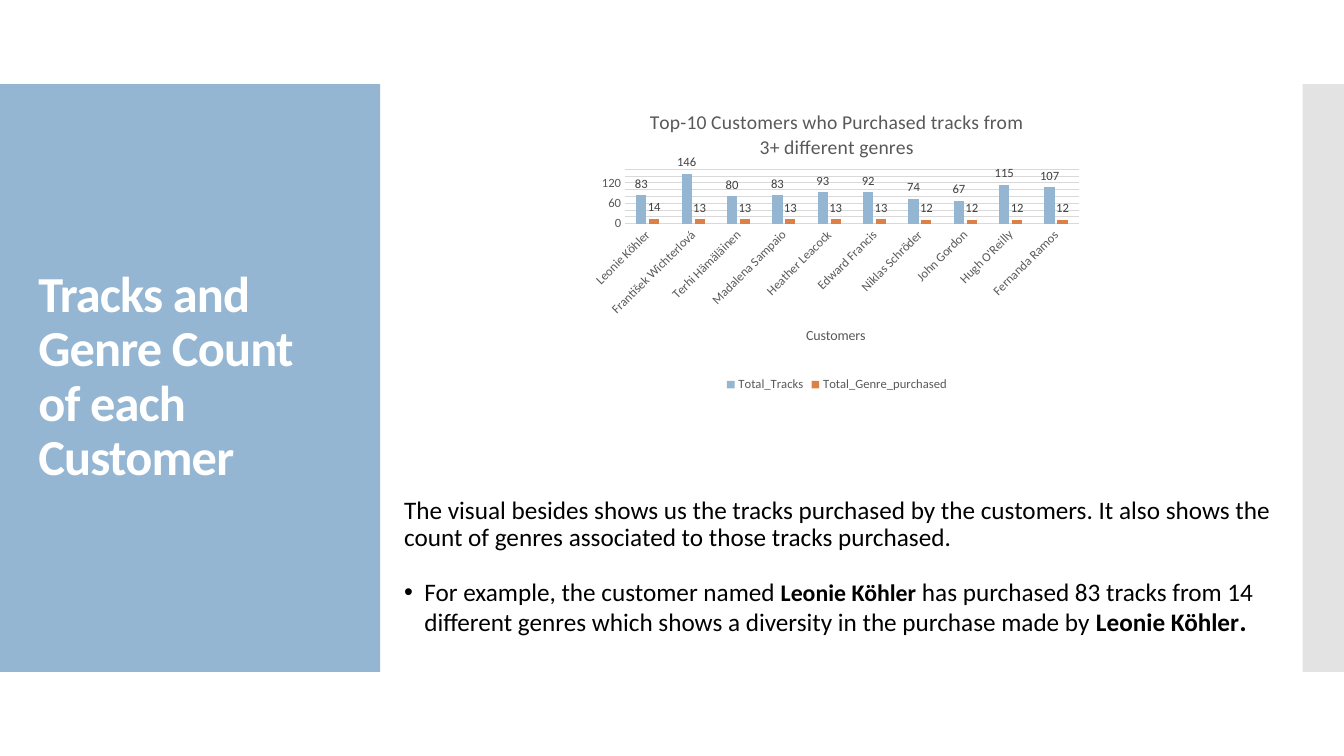
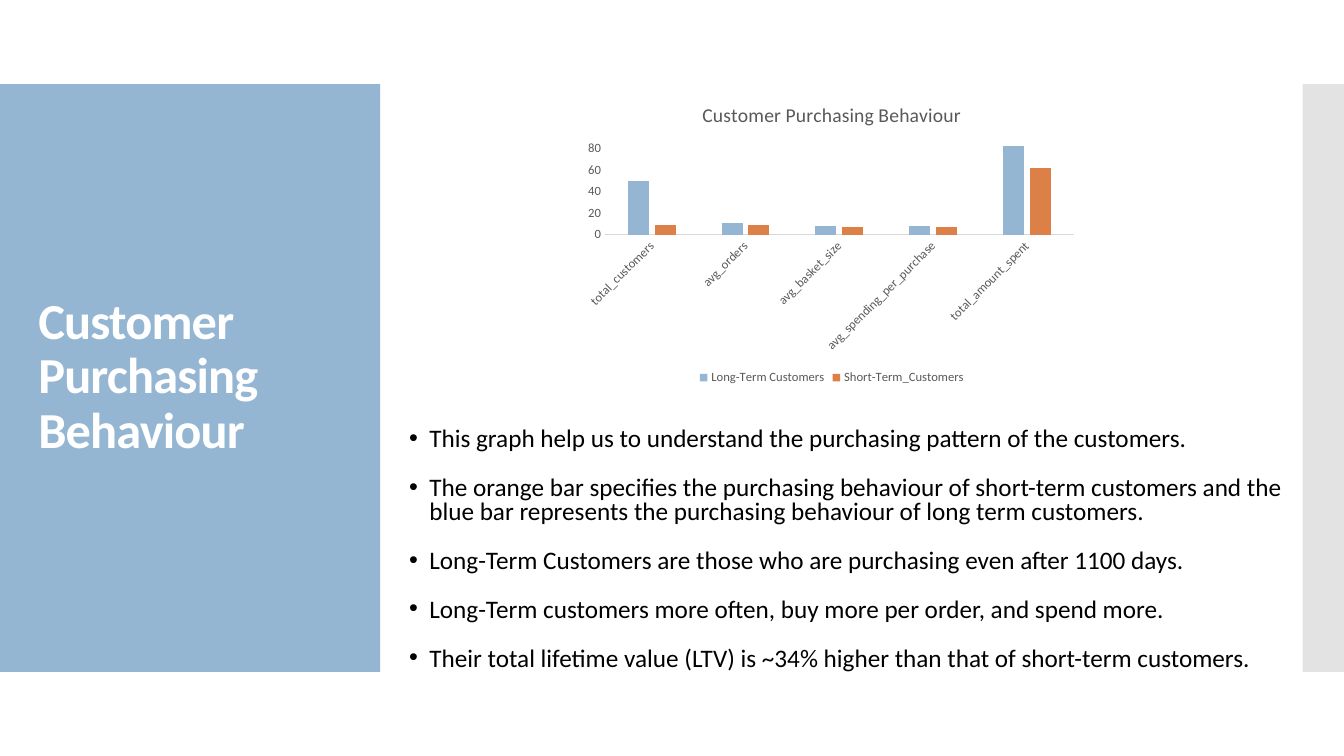
from lxml import etree
from pptx import Presentation
from pptx import util as u
from pptx.chart.data import CategoryChartData
from pptx.dml.color import RGBColor
from pptx.enum import chart as ch, shapes, text
from pptx.oxml.ns import qn

FONT = "Calibri"
BLUE, ORANGE, GREY = "94B6D2", "DD8047", "C8C8C8"
WHITE, BLACK, LABEL, AXIS, RULE = "FFFFFF", "000000", "404040", "595959", "D9D9D9"
WIDTH, HEIGHT = 13.33, 7.5
BAND_TOP, BAND_HEIGHT = HEIGHT / 9, HEIGHT * 7 / 9
INDENT = 0.2


def color(hex_string):
    return RGBColor.from_string(hex_string)


def inches(box):
    return [u.Inches(length) for length in box]


def style(font, size, ink, bold=False):
    font.name, font.size, font.bold = FONT, u.Pt(size), bold
    font.color.rgb = color(ink)


def band(slide, left, width, fill, opacity=100):
    bar = slide.shapes.add_shape(
        shapes.MSO_SHAPE.RECTANGLE, *inches((left, BAND_TOP, width, BAND_HEIGHT)))
    bar.shadow.inherit = False
    bar.fill.solid()
    bar.fill.fore_color.rgb = color(fill)
    bar.line.fill.background()
    if opacity < 100:
        tint = bar._element.spPr.find(".//" + qn("a:srgbClr"))
        etree.SubElement(tint, qn("a:alpha")).set("val", str(opacity * 1000))
    slide.shapes.title._element.addprevious(bar._element)


def titled_slide(deck, heading):
    slide = deck.slides.add_slide(deck.slide_layouts[5])
    band(slide, 0, 3.77, BLUE)
    band(slide, 12.92, WIDTH - 12.92, GREY, 50)
    title = slide.shapes.title
    title.left, title.top, title.width, title.height = inches((0.28, 1.23, 3.22, 5.03))
    frame = title.text_frame
    frame.text = heading
    frame.word_wrap, frame.auto_size = True, text.MSO_AUTO_SIZE.NONE
    frame.vertical_anchor = text.MSO_ANCHOR.MIDDLE
    line = frame.paragraphs[0]
    line.alignment, line.line_spacing = text.PP_ALIGN.LEFT, 0.9
    style(line.runs[0].font, 36, WHITE, True)
    line.runs[0].font._element.set("spc", "-60")
    return slide


def add_bullet(paragraph):
    props = paragraph._p.get_or_add_pPr()
    props.set("marL", str(u.Inches(INDENT)))
    props.set("indent", str(-u.Inches(INDENT)))
    etree.SubElement(props, qn("a:buFont")).set("typeface", "Arial")
    etree.SubElement(props, qn("a:buChar")).set("char", "•")


def commentary(slide, box, remarks, spacing, gap, inset):
    frame = slide.shapes.add_textbox(*inches(box)).text_frame
    frame.word_wrap = True
    frame.margin_top = u.Inches(inset)
    for index, (bulleted, pieces) in enumerate(remarks):
        remark = frame.paragraphs[0] if index == 0 else frame.add_paragraph()
        remark.line_spacing = spacing
        remark.space_before = u.Pt(gap if index else 0)
        if bulleted:
            add_bullet(remark)
        for words, size, bold in pieces:
            run = remark.add_run()
            run.text = words
            style(run.font, size, BLACK, bold)


def place_plot(chart, shares):
    plot_area = chart._chartSpace.chart.plotArea
    layout = plot_area.find(qn("c:layout"))
    if layout is None:
        layout = etree.Element(qn("c:layout"))
        plot_area.insert(0, layout)
    manual = etree.SubElement(layout, qn("c:manualLayout"))
    settings = [("layoutTarget", "inner"), ("xMode", "edge"), ("yMode", "edge")]
    for tag, value in settings + list(zip("xywh", shares)):
        etree.SubElement(manual, qn("c:" + tag)).set("val", str(value))


def write_heading(owner, words, size):
    owner.text_frame.text = words
    style(owner.text_frame.paragraphs[0].runs[0].font, size, AXIS)


def column_chart(slide, box, heading, names, series, plot_shares, top, step,
                 axis_name=None, detailed=False):
    data = CategoryChartData()
    data.categories = names
    for name, values in series:
        data.add_series(name, values)
    chart = slide.shapes.add_chart(
        ch.XL_CHART_TYPE.COLUMN_CLUSTERED, *inches(box), data).chart
    style(chart.font, 10, BLACK)
    chart.has_title = True
    write_heading(chart.chart_title, heading, 14)
    chart.chart_title.include_in_layout = False
    chart.has_legend = True
    chart.legend.position = ch.XL_LEGEND_POSITION.BOTTOM
    chart.legend.include_in_layout = False
    style(chart.legend.font, 9, AXIS)

    categories, scale = chart.category_axis, chart.value_axis
    for axis in (categories, scale):
        axis.major_tick_mark = axis.minor_tick_mark = ch.XL_TICK_MARK.NONE
        style(axis.tick_labels.font, 9, AXIS)
    categories.format.line.color.rgb = color(RULE)
    categories.format.line.width = u.Pt(0.75)
    categories._element.find(qn("c:txPr")).find(qn("a:bodyPr")).set("rot", "-2700000")
    if axis_name:
        write_heading(categories.axis_title, axis_name, 10)
    scale.minimum_scale, scale.maximum_scale, scale.major_unit = 0, top, step
    scale.format.line.fill.background()
    scale.has_major_gridlines = detailed
    if detailed:
        scale.major_gridlines.format.line.color.rgb = color(RULE)
        scale.major_gridlines.format.line.width = u.Pt(0.75)

    plot = chart.plots[0]
    plot.gap_width, plot.overlap, plot.vary_by_categories = 219, -27, False
    for columns, fill in zip(plot.series, (BLUE, ORANGE)):
        columns.format.fill.solid()
        columns.format.fill.fore_color.rgb = color(fill)
        if detailed:
            labels = columns.data_labels
            labels.show_value = True
            labels.position = ch.XL_LABEL_POSITION.OUTSIDE_END
            style(labels.font, 9, LABEL)
    place_plot(chart, plot_shares)


def tracks_slide(deck):
    slide = titled_slide(deck, "Tracks and Genre Count of each Customer")
    commentary(slide, (3.91, 4.66, 8.99, 2.72), [
        (False, [("The visual besides shows us the tracks purchased by the customers. "
                  "It also shows the count of genres associated to those tracks purchased.",
                  18, False)]),
        (True, [("For example, the customer named ", 18, False),
                ("Leonie Köhler", 17, True),
                (" has purchased 83 tracks from 14 different genres which shows "
                 "a diversity in the purchase made by ", 18, False),
                ("Leonie Köhler", 18, True),
                (".", 20, True)]),
    ], 0.9, 19.8, 0.28)
    column_chart(
        slide, (5.8, 0.93, 5, 3),
        "Top-10 Customers who Purchased tracks from 3+ different genres",
        ["Leonie Köhler", "František Wichterlová", "Terhi Hämäläinen", "Madalena Sampaio",
         "Heather Leacock", "Edward Francis", "Niklas Schröder", "John Gordon",
         "Hugh O'Reilly", "Fernanda Ramos"],
        [("Total_Tracks", (83, 146, 80, 83, 93, 92, 74, 67, 115, 107)),
         ("Total_Genre_purchased", (14, 13, 13, 13, 13, 13, 12, 12, 12, 12))],
        (0.08, 0.25, 0.9, 0.18), 160, 20, "Customers", True)


def behaviour_slide(deck):
    heading = "Customer Purchasing Behaviour"
    slide = titled_slide(deck, heading)
    remarks = [
        "This graph help us to understand the purchasing pattern of the customers.",
        "The orange bar specifies the purchasing behaviour of short-term customers and "
        "the blue bar represents the purchasing behaviour of long term customers.",
        "Long-Term Customers are those who are purchasing even after 1100 days.",
        "Long-Term customers more often, buy more per order, and spend more.",
        "Their total lifetime value (LTV) is ~34% higher than that of short-term customers.",
    ]
    commentary(slide, (3.96, 3.86, 9.01, 2.97),
               [(True, [(remark, 18, False)]) for remark in remarks], 0.8, 17.6, 0.39)
    column_chart(
        slide, (5.75, 0.86, 5, 3), heading,
        ["total_customers", "avg_orders", "avg_basket_size", "avg_spending_per_purchase",
         "total_amount_spent"],
        [("Long-Term Customers", (50, 11, 8, 8, 83)),
         ("Short-Term_Customers", (9, 9, 7, 7, 62))],
        (0.05, 0.17, 0.93, 0.32), 90, 20)


def main():
    deck = Presentation()
    deck.slide_width, deck.slide_height = inches((WIDTH, HEIGHT))
    tracks_slide(deck)
    behaviour_slide(deck)
    deck.save("out.pptx")


if __name__ == "__main__":
    main()
